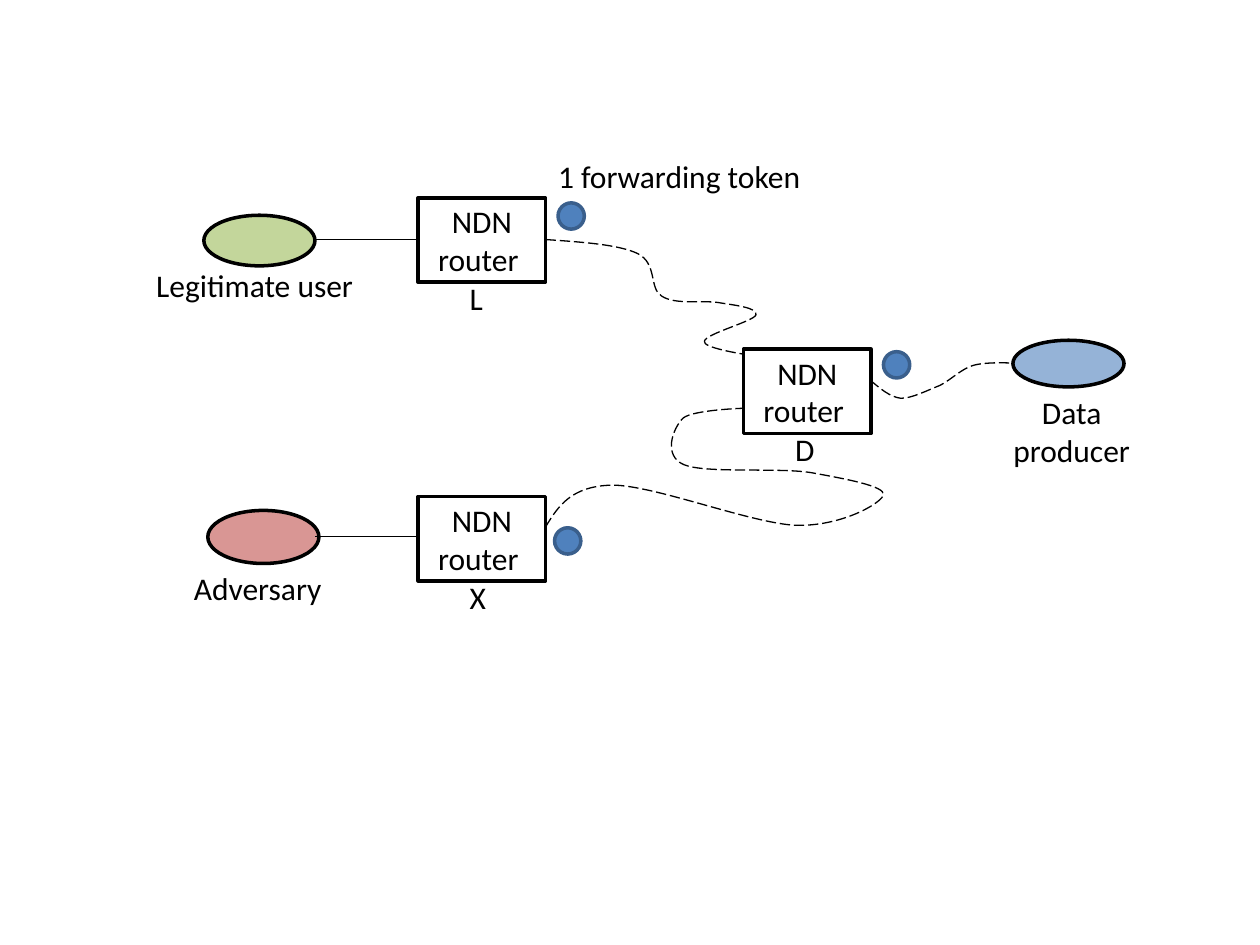
"""Build a slide showing forwarding tokens travelling through an NDN network."""
from dataclasses import dataclass
from typing import NamedTuple

import pptx
import pptx.dml.color
import pptx.enum.dml
import pptx.enum.shapes
import pptx.enum.text
import pptx.oxml
import pptx.oxml.ns
import pptx.util

Cm, Pt = pptx.util.Cm, pptx.util.Pt
RGB = pptx.dml.color.RGBColor.from_string
SHAPE = pptx.enum.shapes.MSO_SHAPE
ALIGN = pptx.enum.text.PP_ALIGN


@dataclass(frozen=True)
class Theme:
    font: str = "Calibri"
    size: float = 18
    ink: str = "000000"
    paper: str = "FFFFFF"
    user: str = "C3D69B"
    adversary: str = "D99694"
    producer: str = "95B3D7"
    token: str = "4F81BD"
    token_edge: str = "3A5F8C"
    outline: float = 2
    link: float = 0.75


class Box(NamedTuple):
    x: float
    y: float
    w: float
    h: float


class Endpoint(NamedTuple):
    box: Box
    fill: str
    text: str
    label: Box
    align: ALIGN


class Router(NamedTuple):
    name: str
    x: float
    y: float


THEME = Theme()
ROUTER_W, ROUTER_H = 2.57, 1.7
NAME_DX, NAME_DY = 0.79, 1.51
TOKEN_D = 0.53

ENDPOINTS = [
    Endpoint(Box(4.11, 4.34, 2.24, 1.02), THEME.user, "Legitimate user ",
             Box(2.9, 5.23, 4.57, 1.02), ALIGN.LEFT),
    Endpoint(Box(4.19, 10.29, 2.24, 1.07), THEME.adversary, "Adversary",
             Box(3.66, 11.35, 3.33, 1.02), ALIGN.LEFT),
    Endpoint(Box(20.42, 6.86, 2.24, 0.94), THEME.producer, "Data producer",
             Box(19.94, 7.8, 3.33, 1.8), ALIGN.CENTER),
]
ROUTERS = [Router("L", 8.43, 3.99), Router("X", 8.43, 10.01), Router("D", 14.99, 7.04)]
TOKENS = [(11.25, 4.09), (11.18, 10.64), (17.81, 7.09)]
LINK_LEVELS = [4.83, 10.82]
ROUTES = [
    [(11, 4.83),
     (11.73, 4.88), (12.47, 4.93), (12.85, 5.11),
     (13.26, 5.31), (13.08, 5.82), (13.34, 5.97),
     (13.61, 6.15), (14.15, 6.05), (14.48, 6.1),
     (14.78, 6.15), (15.29, 6.2), (15.24, 6.35),
     (15.19, 6.48), (14.22, 6.73), (14.2, 6.88),
     (14.15, 7.01), (14.99, 7.14), (14.99, 7.14)],
    [(11, 10.62),
     (11.25, 10.21), (11.51, 9.8), (12.34, 9.78),
     (13.18, 9.78), (15.11, 10.54), (16.03, 10.59),
     (16.94, 10.62), (17.75, 10.16), (17.81, 9.98),
     (17.86, 9.8), (17.02, 9.65), (16.36, 9.53),
     (15.7, 9.42), (14.22, 9.55), (13.79, 9.37),
     (13.36, 9.19), (13.56, 8.64), (13.77, 8.43),
     (13.97, 8.26), (15.01, 8.23), (15.01, 8.23)],
    [(17.55, 7.67),
     (17.73, 7.82), (17.93, 8), (18.16, 8.03),
     (18.39, 8.03), (18.69, 7.87), (18.95, 7.77),
     (19.18, 7.65), (19.38, 7.44), (19.61, 7.37),
     (19.86, 7.29), (20.4, 7.32), (20.4, 7.32)],
]


def write(tf, text: str, *, align=ALIGN.LEFT, anchor=pptx.enum.text.MSO_ANCHOR.TOP) -> None:
    tf.word_wrap = True
    tf.vertical_anchor = anchor
    p = tf.paragraphs[0]
    p.alignment = align
    r = p.add_run()
    r.text = text
    r.font.name, r.font.size = THEME.font, Pt(THEME.size)
    r.font.color.rgb = RGB(THEME.ink)


def add_label(s, box: Box, text: str, align=ALIGN.LEFT) -> None:
    write(s.shapes.add_textbox(*map(Cm, box)).text_frame, text, align=align)


def set_line(line, color: str, width: float) -> None:
    line.color.rgb = RGB(color)
    line.width = Pt(width)


def add_node(s, kind, box: Box, fill: str, edge: str = THEME.ink):
    sp = s.shapes.add_shape(kind, *map(Cm, box))
    sp.shadow.inherit = False
    sp.fill.solid()
    sp.fill.fore_color.rgb = RGB(fill)
    set_line(sp.line, edge, THEME.outline)
    return sp


def add_router(s, router: Router) -> None:
    box = Box(router.x, router.y, ROUTER_W, ROUTER_H)
    sp = add_node(s, SHAPE.RECTANGLE, box, THEME.paper)
    write(sp.text_frame, "NDN router ", align=ALIGN.CENTER,
          anchor=pptx.enum.text.MSO_ANCHOR.MIDDLE)
    add_label(s, Box(router.x + NAME_DX, router.y + NAME_DY, 1.35, 1.02), router.name)


def add_link(s, x1: float, x2: float, y: float) -> None:
    straight = pptx.enum.shapes.MSO_CONNECTOR.STRAIGHT
    cxn = s.shapes.add_connector(straight, Cm(x1), Cm(y), Cm(x2), Cm(y))
    set_line(cxn.line, THEME.ink, THEME.link)
    pptx.oxml.ns.qn("a:effectLst")
    cxn._element.spPr.append(cxn._element.spPr.makeelement(pptx.oxml.ns.qn("a:effectLst"), {}))


def add_route(s, points: list[tuple[float, float]]) -> None:
    start, *rest = [(Cm(x), Cm(y)) for x, y in points]
    builder = s.shapes.build_freeform(*start)
    builder.add_line_segments(rest, close=False)
    sp = builder.convert_to_shape()
    sp.shadow.inherit = False
    sp.fill.background()
    set_line(sp.line, THEME.ink, THEME.link)
    sp.line.dash_style = pptx.enum.dml.MSO_LINE.LONG_DASH
    segments = list(sp._element.iter(pptx.oxml.ns.qn("a:lnTo")))
    for i in range(0, len(segments), 3):
        first, *others = segments[i:i + 3]
        curve = first.makeelement(pptx.oxml.ns.qn("a:cubicBezTo"), {})
        first.addprevious(curve)
        for segment in (first, *others):
            curve.append(segment[0])
            segment.getparent().remove(segment)


def main() -> None:
    prs = pptx.Presentation()
    prs.slide_width, prs.slide_height = Cm(25.4), Cm(19.05)
    s = prs.slides.add_slide(prs.slide_layouts[6])
    for points in ROUTES:
        add_route(s, points)
    for router in ROUTERS:
        add_router(s, router)
    for end in ENDPOINTS:
        add_node(s, SHAPE.OVAL, end.box, end.fill)
        add_label(s, end.label, end.text, end.align)
    for y in LINK_LEVELS:
        add_link(s, 6.35, ROUTERS[0].x, y)
    add_label(s, Box(11, 3.05, 5.49, 1.02), "1 forwarding token")
    for x, y in TOKENS:
        add_node(s, SHAPE.OVAL, Box(x, y, TOKEN_D, TOKEN_D), THEME.token, THEME.token_edge)
    prs.save("out.pptx")


main()
